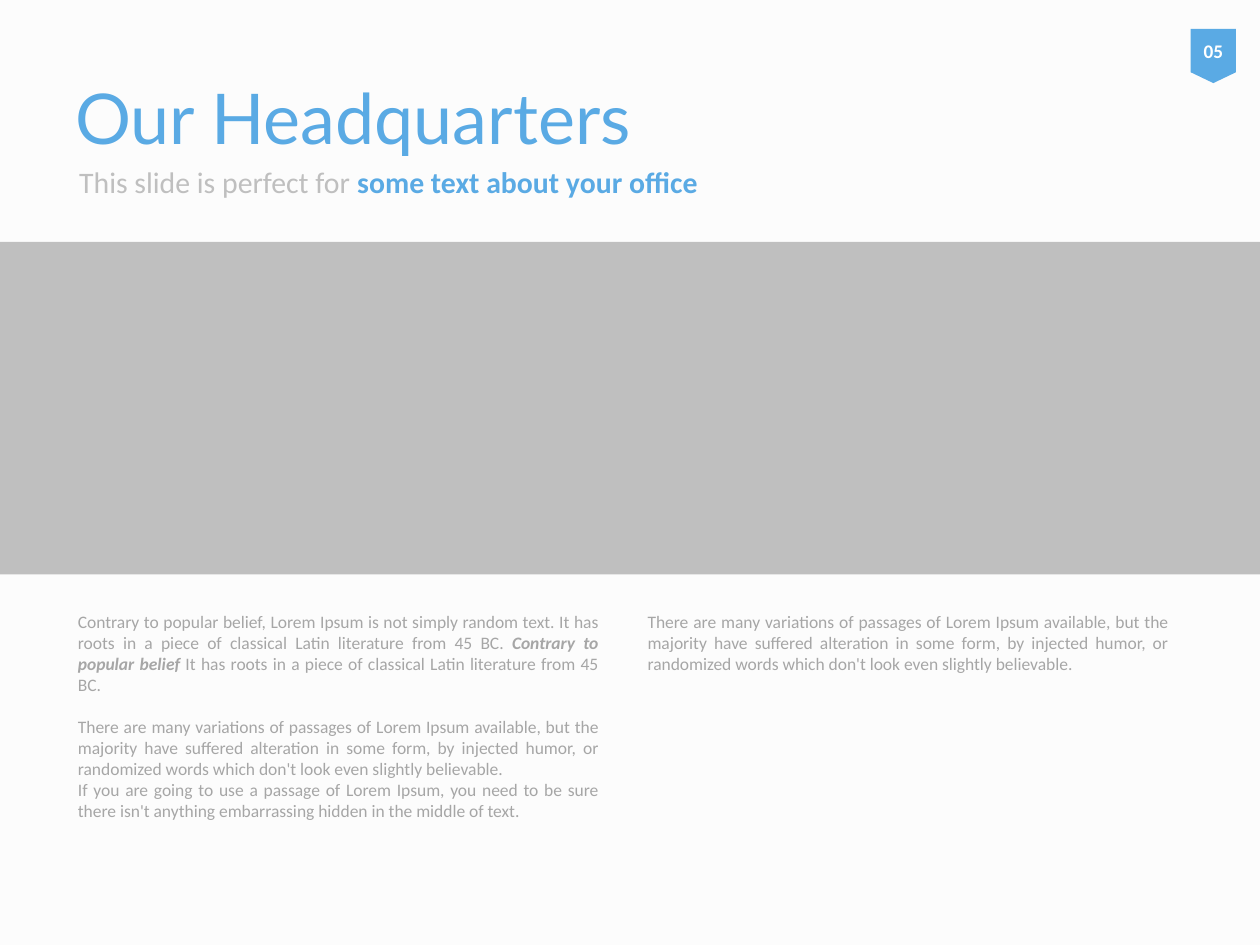
from pptx import Presentation
from pptx.dml.color import RGBColor
from pptx.enum.shapes import MSO_SHAPE
from pptx.enum.text import MSO_ANCHOR, PP_ALIGN
from pptx.util import Inches, Pt

RECT = MSO_SHAPE.RECTANGLE
BADGE = MSO_SHAPE.FLOWCHART_OFFPAGE_CONNECTOR
TOP, MIDDLE = MSO_ANCHOR.TOP, MSO_ANCHOR.MIDDLE
LEFT, CENTER, JUSTIFY = PP_ALIGN.LEFT, PP_ALIGN.CENTER, PP_ALIGN.JUSTIFY
BLUE, SILVER, GRAY, WHITE, PAPER = "5AAAE4", "BFBFBF", "A6A6A6", "FFFFFF", "FCFCFC"

ROOTS = "It has roots in a piece of classical Latin literature from 45 BC."
MANY = ("There are many variations of passages of Lorem Ipsum available, but the "
        "majority have suffered alteration in some form, by injected humor, or "
        "randomized words which don't look even slightly believable.")
USE = ("If you are going to use a passage of Lorem Ipsum, you need to be sure "
       "there isn't anything embarrassing hidden in the middle of text.")
STORY = [
    [("Contrary to popular belief, Lorem Ipsum is not simply random text. " + ROOTS + " ", {}),
     ("Contrary to popular belief ", {"bold": True, "italic": True}),
     (ROOTS, {})],
    [(MANY, {})],
    [(USE, {})],
    [(MANY, {})],
]


def paint(form, color):
    form.solid()
    form.fore_color.rgb = RGBColor.from_string(color)


def write(shape, paras, size, color, font="Calibri", align=LEFT, anchor=MIDDLE):
    frame = shape.text_frame
    frame.word_wrap = True
    frame.vertical_anchor = anchor
    for i, parts in enumerate(paras):
        para = frame.add_paragraph() if i else frame.paragraphs[0]
        para.alignment = align
        for text, style in parts:
            run = para.add_run()
            run.text = text
            face = run.font
            face.name, face.size = font, Pt(size)
            face.bold = style.get("bold", False)
            face.italic = style.get("italic", False)
            face.color.rgb = RGBColor.from_string(style.get("color", color))
    return frame


def add_box(slide, box):
    return slide.shapes.add_textbox(*map(Inches, box))


def add_form(slide, kind, box, color):
    shape = slide.shapes.add_shape(kind, *map(Inches, box))
    shape.shadow.inherit = False
    paint(shape.fill, color)
    shape.line.fill.background()
    return shape


def add_head(slide, left, top, width):
    title = add_box(slide, (left, top, width, 0.85))
    write(title, [[("Our Headquarters", {})]], 40, BLUE, font="Lato")
    tagline = add_box(slide, (left + 0.03, top + 0.68, width, 0.53))
    write(tagline, [[("This slide is perfect for ", {}),
                     ("some text about your office", {"bold": True, "color": BLUE})]],
          17, SILVER)


def add_badge(slide, box):
    badge = add_form(slide, BADGE, box, BLUE)
    write(badge, [[("05", {"bold": True})]], 11, WHITE, align=CENTER)


def add_story(slide, box):
    frame = write(add_box(slide, box), STORY, 10, GRAY, align=JUSTIFY, anchor=TOP)
    frame.margin_right = Inches(0.16)
    frame.margin_bottom = Inches(0.15)
    frame.paragraphs[0].space_after = Pt(12)
    body = frame._txBody.bodyPr
    body.set("numCol", "2")
    body.set("spcCol", str(Inches(0.39)))


def main():
    deck = Presentation()
    deck.slide_width, deck.slide_height = Inches(10), Inches(7.5)
    slide = deck.slides.add_slide(deck.slide_layouts[6])
    paint(slide.background.fill, PAPER)
    add_form(slide, RECT, (0, 1.92, 10, 2.64), SILVER)
    add_head(slide, 0.5, 0.5, 9)
    add_story(slide, (0.52, 4.8, 8.91, 1.95))
    add_badge(slide, (9.45, 0.23, 0.36, 0.43))
    deck.save("out.pptx")


if __name__ == "__main__":
    main()
